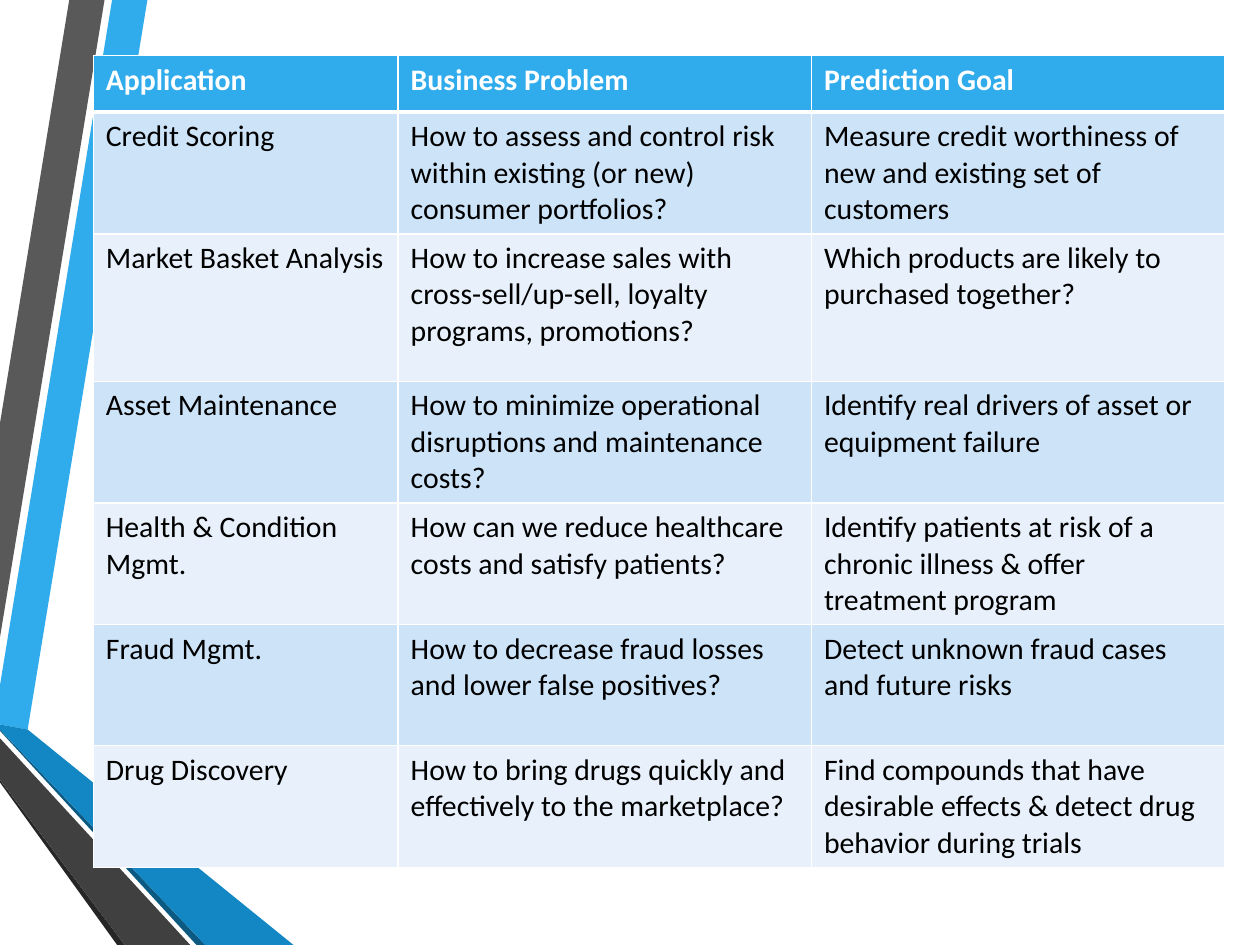
import lxml.etree
import pptx
import pptx.dml.color
import pptx.oxml.ns
import pptx.util

GRID_COLUMNS, GRID_ROWS = 100, 75
COLORS = {
    "sky": "30ACEC", "blue": "1287C3", "navy": "0C5A82",
    "gray": "595959", "charcoal": "404040", "ink": "262626",
    "odd": "CDE3F8", "even": "E8F1FB", "white": "FFFFFF", "black": "000000",
}
RIBBONS = [
    ("sky", [(0, 54.4), (0, 57.5), (2.2, 57.9), (11.7, 0), (8.9, 0)]),
    ("gray", [(8.3, 0), (5.5, 0), (0, 33.6), (0, 50.6)]),
    ("ink", [(0, 61.9), (0, 62.1), (9.3, 75), (9.9, 75)]),
    ("navy", [(0, 57.9), (0, 58), (15.6, 75), (16.3, 75)]),
    ("blue", [(0, 57.9), (16.3, 75), (23.3, 75), (2.2, 57.9), (0, 57.5)]),
    ("charcoal", [(0, 61.9), (9.9, 75), (15.1, 75), (0, 58.6)]),
]
COLUMN_WIDTHS = [24.2, 32.8, 32.8]
ROW_HEIGHTS = [4.5, 9.6, 11.7, 9.6, 9.6, 9.6, 9.6]
APPLICATIONS = [
    ("Application", "Business Problem", "Prediction Goal"),
    ("Credit Scoring",
     "How to assess and control risk within existing (or new) consumer portfolios?",
     "Measure credit worthiness of new and existing set of customers"),
    ("Market Basket Analysis",
     "How to increase sales with cross-sell/up-sell, loyalty programs, promotions?",
     "Which products are likely to purchased together?"),
    ("Asset Maintenance",
     "How to minimize operational disruptions and maintenance costs?",
     "Identify real drivers of asset or equipment failure"),
    ("Health & Condition Mgmt.",
     "How can we reduce healthcare costs and satisfy patients?",
     "Identify patients at risk of a chronic illness & offer treatment program"),
    ("Fraud Mgmt.",
     "How to decrease fraud losses and lower false positives?",
     "Detect unknown fraud cases and future risks"),
    ("Drug Discovery",
     "How to bring drugs quickly and effectively to the marketplace?",
     "Find compounds that have desirable effects & detect drug behavior during trials"),
]


def rgb(name):
    return pptx.dml.color.RGBColor.from_string(COLORS[name])


def write_text(frame, text, size=17, color="black", bold=False, font="Calibri"):
    span = frame.paragraphs[0].add_run()
    span.text = text
    span.font.name = font
    span.font.size = pptx.util.Pt(size)
    span.font.bold = bold
    span.font.color.rgb = rgb(color)


def set_borders(cell, color="white", **widths):
    properties = cell._tc.get_or_add_tcPr()
    for side in "LRTB":
        line = lxml.etree.SubElement(
            properties, pptx.oxml.ns.qn(f"a:ln{side}"),
            w=str(pptx.util.Pt(widths.get(side, 1))))
        fill = lxml.etree.SubElement(line, pptx.oxml.ns.qn("a:solidFill"))
        lxml.etree.SubElement(fill, pptx.oxml.ns.qn("a:srgbClr"), val=COLORS[color])


def draw_ribbons(page, box, unit):
    left, top = (length * unit for length in box)
    for color, points in RIBBONS:
        start, *corners = [(left + x * unit, top + y * unit) for x, y in points]
        builder = page.shapes.build_freeform(*start)
        builder.add_line_segments(corners, close=True)
        ribbon = builder.convert_to_shape()
        ribbon.shadow.inherit = False
        ribbon.fill.solid()
        ribbon.fill.fore_color.rgb = rgb(color)
        ribbon.line.fill.background()


def draw_table(page, box, unit):
    bounds = [round(length * unit) for length in box]
    table = page.shapes.add_table(len(ROW_HEIGHTS), len(COLUMN_WIDTHS), *bounds).table
    table.horz_banding = False
    for column, width in zip(table.columns, COLUMN_WIDTHS):
        column.width = round(width * unit)
    for row, height in zip(table.rows, ROW_HEIGHTS):
        row.height = round(height * unit)
    for index, texts in enumerate(APPLICATIONS):
        header = index == 0
        band = "sky" if header else "odd" if index % 2 else "even"
        for position, text in enumerate(texts):
            cell = table.cell(index, position)
            set_borders(cell, T=3 if index == 1 else 1, B=3 if header else 1)
            cell.fill.solid()
            cell.fill.fore_color.rgb = rgb(band)
            write_text(cell.text_frame, text, bold=header,
                       color="white" if header else "black")


def main():
    deck = pptx.Presentation()
    deck.slide_width = pptx.util.Inches(10)
    deck.slide_height = pptx.util.Inches(7.5)
    unit = deck.slide_width / GRID_COLUMNS
    page = deck.slides.add_slide(deck.slide_layouts[6])
    page.background.fill.solid()
    page.background.fill.fore_color.rgb = rgb("white")
    draw_ribbons(page, (0, 0), unit)
    draw_table(page, (7.4, 4.4, sum(COLUMN_WIDTHS), sum(ROW_HEIGHTS)), unit)
    deck.save("out.pptx")


if __name__ == "__main__":
    main()
